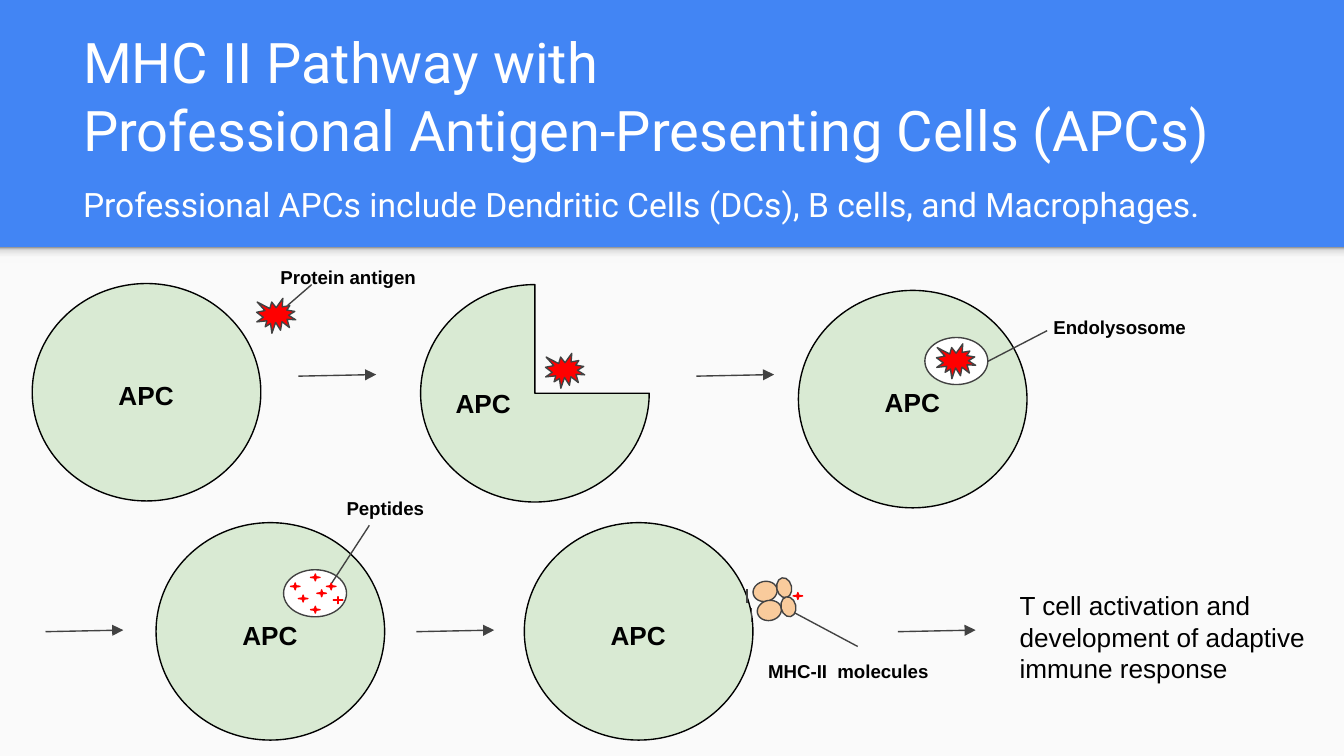
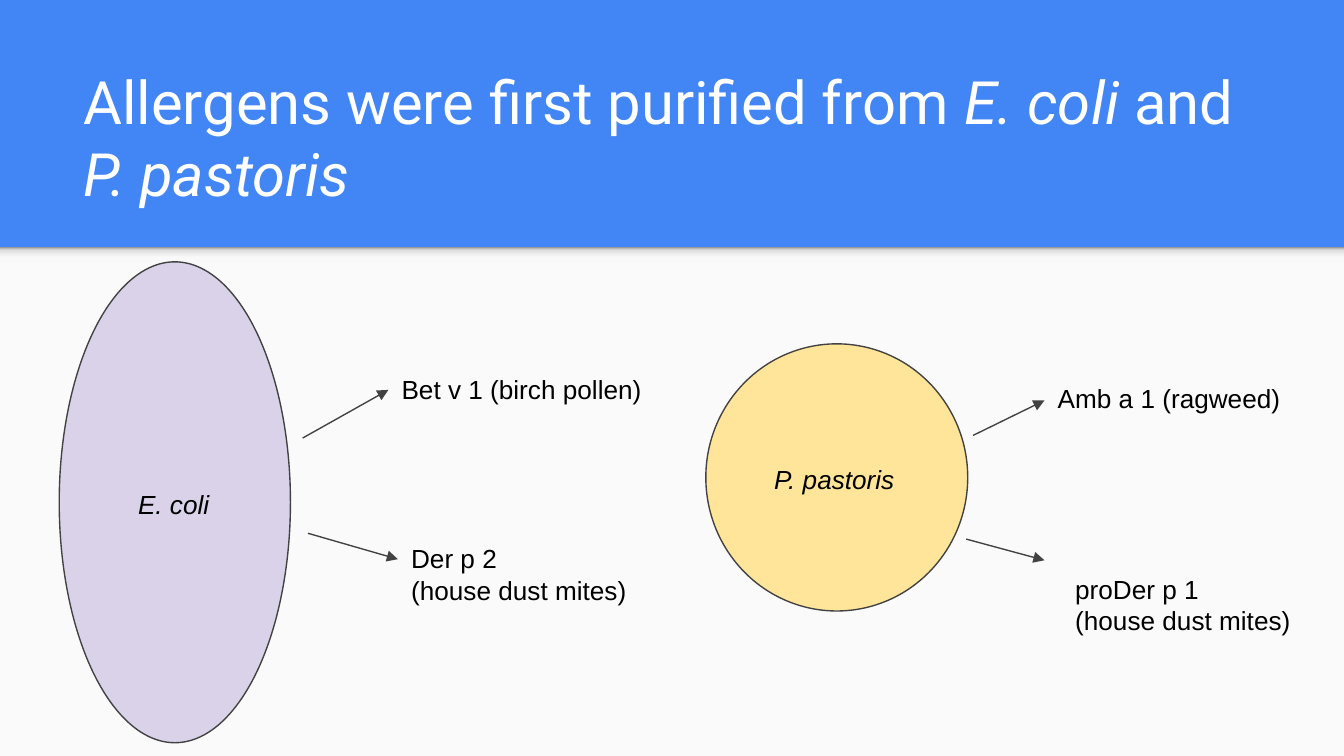
from dataclasses import dataclass

from lxml.etree import SubElement
from pptx import Presentation
from pptx.dml.color import RGBColor
from pptx.enum.shapes import MSO_CONNECTOR, MSO_SHAPE
from pptx.enum.text import MSO_ANCHOR, MSO_AUTO_SIZE, PP_ALIGN
from pptx.oxml.ns import qn
from pptx.util import Cm, Pt

# Shared style; all lengths below are centimetres
BLUE = RGBColor(0x42, 0x85, 0xF4)
PAPER = RGBColor(0xFA, 0xFA, 0xFA)
WHITE = RGBColor(0xFF, 0xFF, 0xFF)
BLACK = RGBColor(0x00, 0x00, 0x00)
GREY = RGBColor(0x42, 0x42, 0x42)
GREEN = RGBColor(0xD9, 0xEA, 0xD3)
RED = RGBColor(0xFF, 0x00, 0x00)
PEACH = RGBColor(0xF9, 0xCB, 0x9C)
LILAC = RGBColor(0xD9, 0xD2, 0xE9)
YELLOW = RGBColor(0xFF, 0xE5, 0x99)
SHADOW_STOPS = ((0, "F9F9F9"), (36, "F9F9F9"), (80, "DEDEDE"), (100, "999999"))
HEAD_FONT, BODY_FONT = "Roboto", "Arial"
SLIDE_W, SLIDE_H, BAND_H = 25.4, 14.29, 4.67
MARGIN, INSET = 1.32, 0.25
CELL_W, CELL_H = 4.32, 4.11


@dataclass(frozen=True)
class Box:
    left: float
    top: float
    width: float
    height: float

    def lengths(self) -> tuple:
        return Cm(self.left), Cm(self.top), Cm(self.width), Cm(self.height)


@dataclass(frozen=True)
class Run:
    text: str
    italic: bool = False


@dataclass(frozen=True)
class Label:
    box: Box
    lines: tuple[str, ...]
    size: float = 14
    bold: bool = False
    italic: bool = False


@dataclass(frozen=True)
class Cell:
    left: float
    top: float
    preset: MSO_SHAPE = MSO_SHAPE.OVAL
    label_dx: float = 1.38
    label_dy: float = 1.57


@dataclass(frozen=True)
class Segment:
    x1: float
    y1: float
    x2: float
    y2: float


def write(frame, lines: list[list[Run]], font: str, size: float,
          color: RGBColor, bold: bool = False) -> None:
    frame.word_wrap = True
    frame.auto_size = MSO_AUTO_SIZE.NONE
    frame.margin_left = frame.margin_right = Cm(INSET)
    frame.margin_top = frame.margin_bottom = Cm(INSET)
    for index, runs in enumerate(lines):
        paragraph = frame.add_paragraph() if index else frame.paragraphs[0]
        paragraph.alignment = PP_ALIGN.LEFT
        for part in runs:
            run = paragraph.add_run()
            run.text = part.text
            run.font.name, run.font.size = font, Pt(size)
            run.font.bold, run.font.italic = bold, part.italic
            run.font.color.rgb = color


def add_label(slide, label: Label) -> None:
    frame = slide.shapes.add_textbox(*label.box.lengths()).text_frame
    lines = [[Run(line, label.italic)] for line in label.lines]
    write(frame, lines, BODY_FONT, label.size, BLACK, label.bold)


def add_figure(slide, preset: MSO_SHAPE, box: Box, fill: RGBColor,
               line: RGBColor | None = GREY):
    figure = slide.shapes.add_shape(preset, *box.lengths())
    figure.shadow.inherit = False
    figure.fill.solid()
    figure.fill.fore_color.rgb = fill
    if line is None:
        figure.line.fill.background()
    else:
        figure.line.color.rgb = line
        figure.line.width = Pt(0.75)
    return figure


def add_line(slide, segment: Segment, arrow: bool = False) -> None:
    line = slide.shapes.add_connector(
        MSO_CONNECTOR.STRAIGHT, Cm(segment.x1), Cm(segment.y1),
        Cm(segment.x2), Cm(segment.y2))
    line.line.color.rgb = GREY
    line.line.width = Pt(0.75)
    properties = line._element.spPr
    if arrow:
        SubElement(properties.find(qn("a:ln")), qn("a:tailEnd"), type="triangle")
    SubElement(properties, qn("a:effectLst"))


def add_cell(slide, cell: Cell) -> None:
    body = add_figure(slide, cell.preset,
                      Box(cell.left, cell.top, CELL_W, CELL_H), GREEN, BLACK)
    if cell.preset == MSO_SHAPE.PIE:
        body.adjustments[0], body.adjustments[1] = 0, 162
    add_label(slide, Label(Box(cell.left + cell.label_dx, cell.top + cell.label_dy,
                               1.7, 0.99), ("APC",), bold=True))


def add_antigen(slide, left: float, top: float) -> None:
    add_figure(slide, MSO_SHAPE.EXPLOSION1, Box(left, top, 0.74, 0.66), RED)


def add_endosome(slide, left: float, top: float) -> None:
    add_figure(slide, MSO_SHAPE.OVAL, Box(left, top, 1.19, 0.89), WHITE)


def add_peptide(slide, left: float, top: float, point: float = 0.125) -> None:
    star = add_figure(slide, MSO_SHAPE.STAR_4_POINT,
                      Box(left, top, 0.18, 0.13), RED, RED)
    star.adjustments[0] = point


def add_mhc_chain(slide, left: float, top: float) -> None:
    """One membrane anchor with its large and small domain."""
    add_line(slide, Segment(left, top + 0.45, left, top + 0.18))
    for dx, dy, height in ((0.15, 0, 0.46), (0.51, 0.02, 0.28)):
        domain = add_figure(slide, MSO_SHAPE.OVAL,
                            Box(left + dx, top + dy, 0.38, height), PEACH)
        domain.rotation = 77.6


def start_slide(prs, title_lines: list[list[Run]], box: Box, size: float):
    slide = prs.slides.add_slide(prs.slide_layouts[5])
    # Pale content area and the shadow under the blue band
    add_figure(slide, MSO_SHAPE.RECTANGLE,
               Box(0, BAND_H, SLIDE_W, SLIDE_H - BAND_H), PAPER, None)
    shadow = add_figure(slide, MSO_SHAPE.RECTANGLE,
                        Box(0, BAND_H, SLIDE_W, 0.3), PAPER, None)
    shadow.fill.gradient()
    shadow.fill.gradient_angle = 90
    stops = shadow._element.spPr.find(qn("a:gradFill")).find(qn("a:gsLst"))
    stops.clear()
    for position, color in SHADOW_STOPS:
        stop = SubElement(stops, qn("a:gs"), pos=str(position * 1000))
        SubElement(stop, qn("a:srgbClr"), val=color)
    # Title
    title = slide.shapes.title
    title.left, title.top, title.width, title.height = box.lengths()
    write(title.text_frame, title_lines, HEAD_FONT, size, WHITE)
    title.text_frame.vertical_anchor = MSO_ANCHOR.BOTTOM
    return slide


def build_pathway(prs) -> None:
    slide = start_slide(
        prs, [[Run("MHC II Pathway with")],
              [Run("Professional Antigen-Presenting Cells (APCs)")]],
        Box(MARGIN, 1.19, 23.16, 2.13), 30)
    subtitle = slide.shapes.add_textbox(
        *Box(MARGIN, 3.12, 21.82, 1.27).lengths()).text_frame
    write(subtitle, [[Run("Professional APCs include Dendritic Cells (DCs), "
                          "B cells, and Macrophages.")]], HEAD_FONT, 18, WHITE)
    subtitle.paragraphs[0].line_spacing = 1.15
    subtitle.paragraphs[0].space_after = Pt(16)

    # Cells at each stage
    for cell in (Cell(0.61, 5.36),
                 Cell(7.95, 5.38, MSO_SHAPE.PIE, 0.41, 1.7),
                 Cell(15.09, 5.49),
                 Cell(2.95, 9.88),
                 Cell(9.91, 9.88)):
        add_cell(slide, cell)

    # Antigen, endolysosome and peptides
    for left, top in ((17.48, 6.38), (5.36, 10.77)):
        add_endosome(slide, left, top)
    for left, top in ((4.85, 5.64), (10.31, 6.68), (17.7, 6.5)):
        add_antigen(slide, left, top)
    for left, top in ((5.49, 11.02), (5.99, 11.15), (5.64, 11.25), (5.87, 10.85),
                      (5.87, 11.46), (6.17, 11.02), (14.99, 11.2)):
        add_peptide(slide, left, top)
    add_peptide(slide, 6.3, 11.28, 0)

    # MHC-II molecules on the membrane
    for left, top in ((14.12, 10.95), (14.2, 11.31)):
        add_mhc_chain(slide, left, top)

    # Leaders and their labels
    for leader in (Segment(5.44, 5.77, 5.89, 5.38),
                   Segment(18.67, 6.83, 19.79, 6.25),
                   Segment(6.27, 11.02, 6.98, 9.93),
                   Segment(15.01, 11.58, 16.21, 12.22)):
        add_line(slide, leader)
    for text, box in (("Protein antigen", Box(5.05, 4.78, 3.33, 0.79)),
                      ("Endolysosome", Box(19.66, 5.72, 3.71, 1.09)),
                      ("Peptides", Box(6.3, 9.14, 2.08, 0.79)),
                      ("MHC-II  molecules", Box(14.27, 12.22, 3.86, 0.99))):
        add_label(slide, Label(box, (text,), size=10, bold=True))

    # Arrows between stages and the outcome
    for left, top in ((5.64, 7.11), (13.16, 7.11),
                      (0.86, 11.94), (7.87, 11.94), (16.97, 11.94)):
        add_line(slide, Segment(left, top, left + 1.47, top - 0.03), arrow=True)
    add_label(slide, Label(
        Box(19.02, 10.9, 5.94, 2.29),
        ("T cell activation and development of adaptive immune response",)))


def build_allergens(prs) -> None:
    slide = start_slide(
        prs, [[Run("Allergens were first purified from "), Run("E. coli", True),
               Run(" and "), Run("P. pastoris", True)]],
        Box(MARGIN, 2.06, 22.83, 2.13), 32)

    # Host organisms
    for host, fill in ((Box(1.12, 4.95, 4.37, 9.09), LILAC),
                       (Box(13.34, 6.5, 4.95, 5.05), YELLOW)):
        add_figure(slide, MSO_SHAPE.OVAL, host, fill)

    # Arrows to the allergens
    for arrow in (Segment(5.72, 8.28, 7.34, 7.37),
                  Segment(5.82, 10.08, 7.52, 10.57),
                  Segment(18.39, 8.23, 19.74, 7.57),
                  Segment(18.26, 10.19, 19.74, 10.59)):
        add_line(slide, arrow, arrow=True)

    # Names of hosts and allergens
    for label in (
            Label(Box(2.36, 8.99, 1.95, 1.02), ("E. coli",), italic=True),
            Label(Box(14.38, 8.51, 2.9, 1.02), ("P. pastoris",), italic=True),
            Label(Box(7.34, 6.81, 5.26, 1.02), ("Bet v 1 (birch pollen)",)),
            Label(Box(7.52, 10.01, 6.35, 1.02), ("Der p 2", "(house dust mites)")),
            Label(Box(19.74, 6.98, 4.95, 1.02), ("Amb a 1 (ragweed)",)),
            Label(Box(20.07, 10.59, 5.3, 1.65), ("proDer p 1", "(house dust mites)"))):
        add_label(slide, label)


def main() -> None:
    prs = Presentation()
    prs.slide_width, prs.slide_height = Cm(SLIDE_W), Cm(SLIDE_H)
    background = prs.slide_master.background.fill
    background.solid()
    background.fore_color.rgb = BLUE
    build_pathway(prs)
    build_allergens(prs)
    prs.save("out.pptx")


if __name__ == "__main__":
    main()
